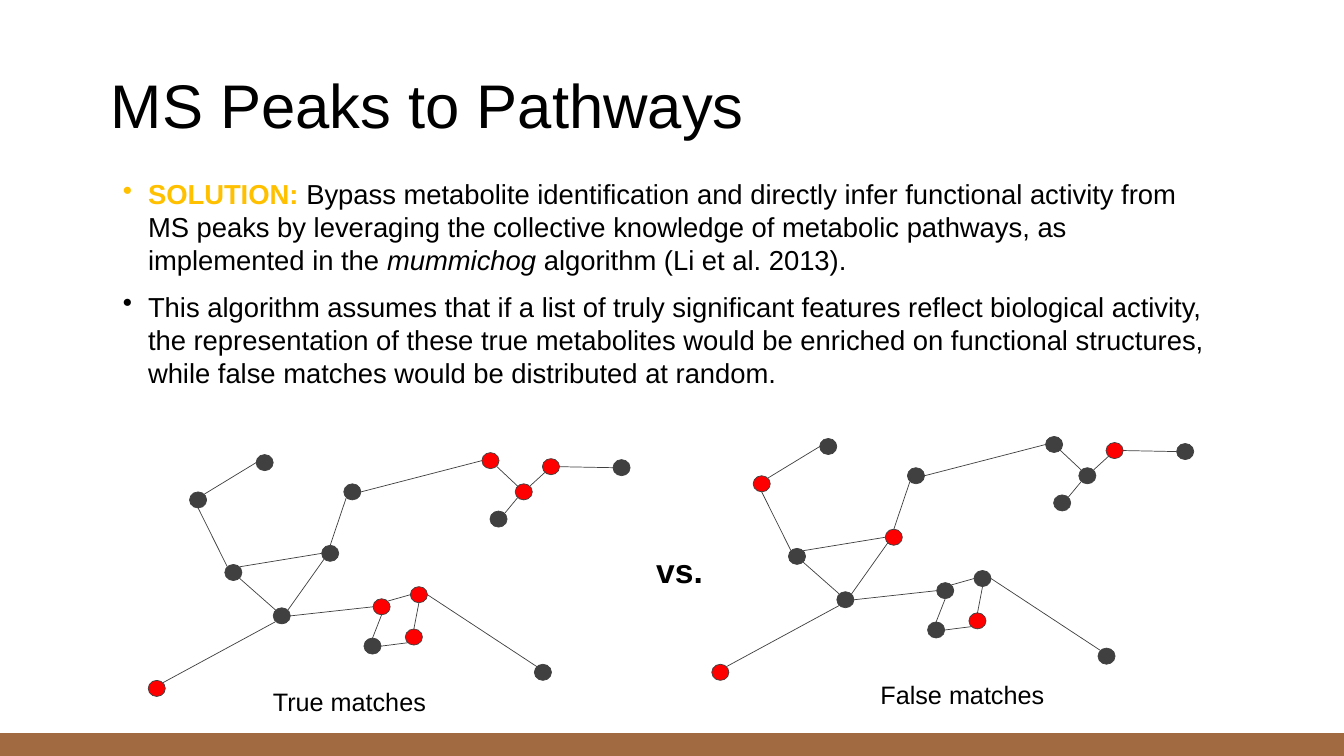
import math

import pptx
import pptx.util
import pptx.dml.color
import pptx.enum.shapes
import pptx.enum.text
import pptx.oxml.ns
from lxml import etree

Inches = pptx.util.Inches
Pt = pptx.util.Pt
RGBColor = pptx.dml.color.RGBColor
Shape = pptx.enum.shapes.MSO_SHAPE
Align = pptx.enum.text.PP_ALIGN
Anchor = pptx.enum.text.MSO_ANCHOR

BLACK = RGBColor(0x00, 0x00, 0x00)
GOLD = RGBColor(0xFF, 0xC0, 0x00)
GRAY = RGBColor(0x40, 0x40, 0x40)
RED = RGBColor(0xFF, 0x00, 0x00)
BROWN = RGBColor(0xA1, 0x6A, 0x41)

WIDE, HIGH = 0.17, 0.16  # size of a node

# Top left corner of each node, from the corner of the network
NODES = {
    "a": (0.41, 0.39), "b": (1.72, 0.92), "c": (1.07, 0.02),
    "d": (0.76, 1.11), "e": (2.23, 1.45), "f": (1.24, 1.54),
    "g": (2.14, 1.84), "h": (1.94, 0.31), "i": (2.6, 1.33),
    "j": (2.55, 1.75), "k": (3.31, 0), "l": (0, 2.26),
    "m": (3.83, 2.1), "n": (3.91, 0.06), "o": (3.64, 0.31),
    "p": (3.39, 0.58), "q": (4.61, 0.07),
}

# Each link runs from a side of one node to a side of another
LINKS = [
    "a NE c W", "a S d NW", "f NE b SW", "f E e W", "e S g N", "b N h SW",
    "f NW d SE", "d NE b W", "h E k W", "k SE o NW", "o NE n SW",
    "o SW p NE", "i E m NW", "e NE i W", "g E j SW", "j N i S",
    "l NE f SW", "n E q W",
]
SIDES = ["E", "SE", "S", "SW", "W", "NW", "N", "NE"]


def add_run(para, text, size=18, color=BLACK, bold=False, italic=False):
    run = para.add_run()
    run.text = text
    font = run.font
    font.name = "Arial"
    font.size = Pt(size)
    font.color.rgb = color
    font.bold = bold
    font.italic = italic


def add_box(slide, box, anchor=Anchor.TOP):
    frame = slide.shapes.add_textbox(*map(Inches, box)).text_frame
    frame.word_wrap = True
    frame.vertical_anchor = anchor
    return frame


def add_text(slide, box, text, align=Align.LEFT, anchor=Anchor.TOP,
             spacing=1.0, **style):
    para = add_box(slide, box, anchor).paragraphs[0]
    para.alignment = align
    para.line_spacing = spacing
    add_run(para, text, **style)


def add_shape(shapes, kind, box, fill, line, weight):
    shape = shapes.add_shape(kind, *map(Inches, box))
    shape.shadow.inherit = False
    shape.fill.solid()
    shape.fill.fore_color.rgb = fill
    shape.line.color.rgb = line
    shape.line.width = Pt(weight)


def add_body(slide, box, items):
    frame = add_box(slide, box)
    for index, runs in enumerate(items):
        para = frame.add_paragraph() if index else frame.paragraphs[0]
        para.space_before = Pt(10)
        props = para._p.get_or_add_pPr()
        props.set("marL", str(Inches(0.25)))
        props.set("indent", str(Inches(-0.25)))
        mark = etree.SubElement(props, pptx.oxml.ns.qn("a:buChar"))
        mark.set("char", "•")
        for text, style in runs:
            add_run(para, text, size=19.6, **style)


def find_end(left, top, node, side):
    angle = SIDES.index(side) * math.pi / 4
    x, y = NODES[node]
    return (Inches(left + x + WIDE / 2 * (1 + math.cos(angle))),
            Inches(top + y + HIGH / 2 * (1 + math.sin(angle))))


def add_net(slide, left, top, hits):
    shapes = slide.shapes.add_group_shape().shapes
    # Links
    for link in LINKS:
        start, out, stop, into = link.split()
        line = shapes.add_connector(
            pptx.enum.shapes.MSO_CONNECTOR.STRAIGHT,
            *find_end(left, top, start, out),
            *find_end(left, top, stop, into))
        line.line.color.rgb = GRAY
        line.line.width = Pt(0.5)
        etree.SubElement(line._element.spPr, pptx.oxml.ns.qn("a:effectLst"))
    # Nodes, with the matched ones in red
    for name, (x, y) in NODES.items():
        add_shape(shapes, Shape.OVAL, (left + x, top + y, WIDE, HIGH),
                  RED if name in hits else GRAY, GRAY, 0.5)


def main():
    deck = pptx.Presentation()
    deck.slide_width = Inches(13.33)
    deck.slide_height = Inches(7.5)
    slide = deck.slides.add_slide(deck.slide_layouts[6])

    # Title and body
    add_text(slide, (1, 0.68, 11.33, 0.79), "MS Peaks to Pathways",
             anchor=Anchor.MIDDLE, spacing=0.9, size=44)
    add_body(slide, (1.12, 1.71, 11.1, 2.62), [
        [("SOLUTION: ", {"color": GOLD, "bold": True}),
         ("Bypass metabolite identification and directly infer functional "
          "activity from MS peaks by leveraging the collective knowledge of "
          "metabolic pathways, as implemented in the ", {}),
         ("mummichog", {"italic": True}),
         (" algorithm (Li et al. 2013).", {})],
        [("This algorithm assumes that if a list of truly significant "
          "features reflect biological activity, the representation of these "
          "true metabolites would be enriched on functional structures, "
          "while false matches would be distributed at random.", {})],
    ])

    # Networks and their labels
    add_net(slide, 1.47, 4.49, "eijklno")
    add_net(slide, 7.06, 4.33, "abjln")
    add_text(slide, (6.41, 5.41, 0.84, 0.5), "vs.", size=24, bold=True)
    add_text(slide, (2.32, 6.76, 2.29, 0.4), "True matches",
             align=Align.CENTER)
    add_text(slide, (8.4, 6.69, 2.29, 0.4), "False matches",
             align=Align.CENTER)

    # Bottom bar
    add_shape(slide.shapes, Shape.RECTANGLE, (0, 7.28, 13.33, 0.25),
              BROWN, BROWN, 1)

    deck.save("out.pptx")


if __name__ == "__main__":
    main()
